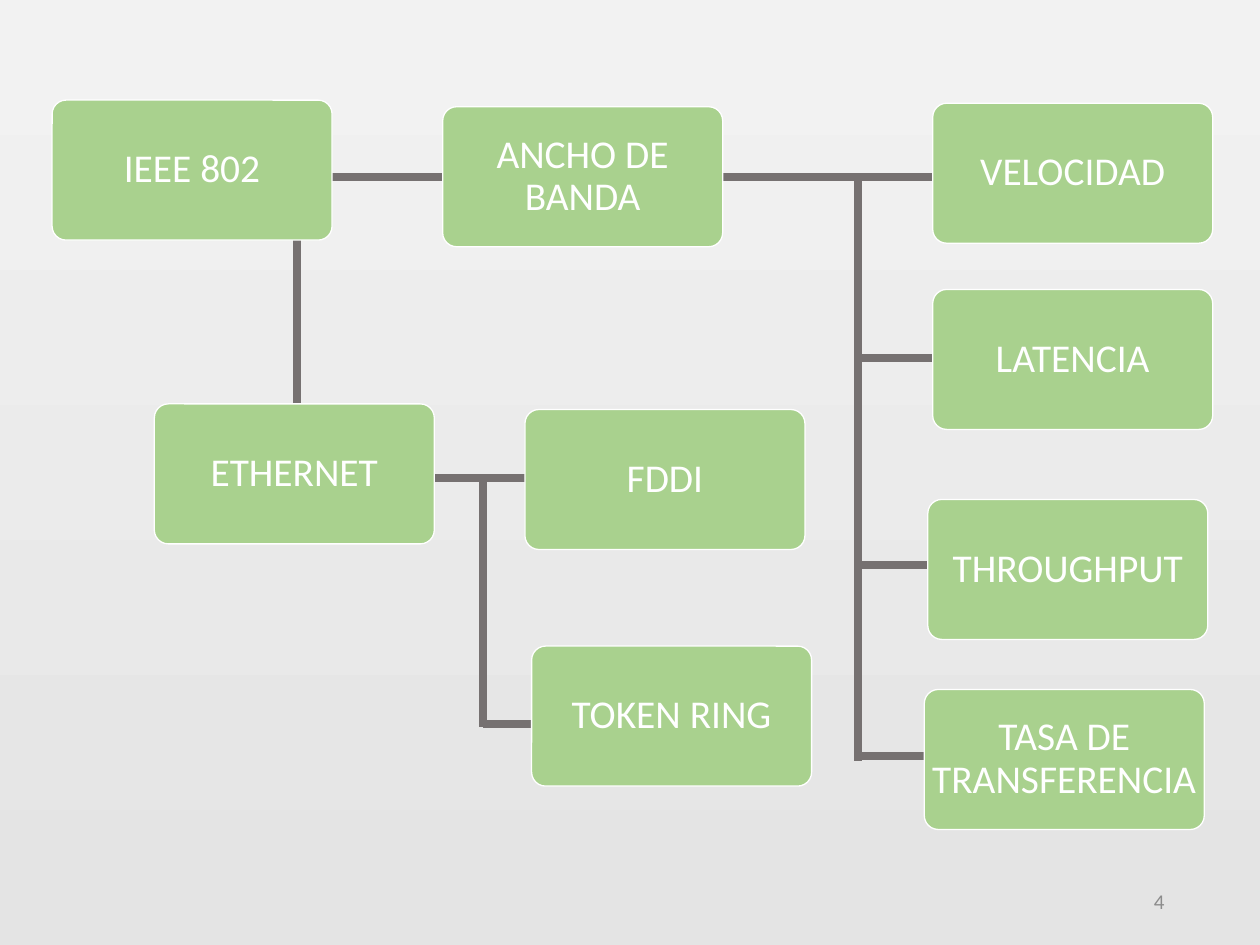
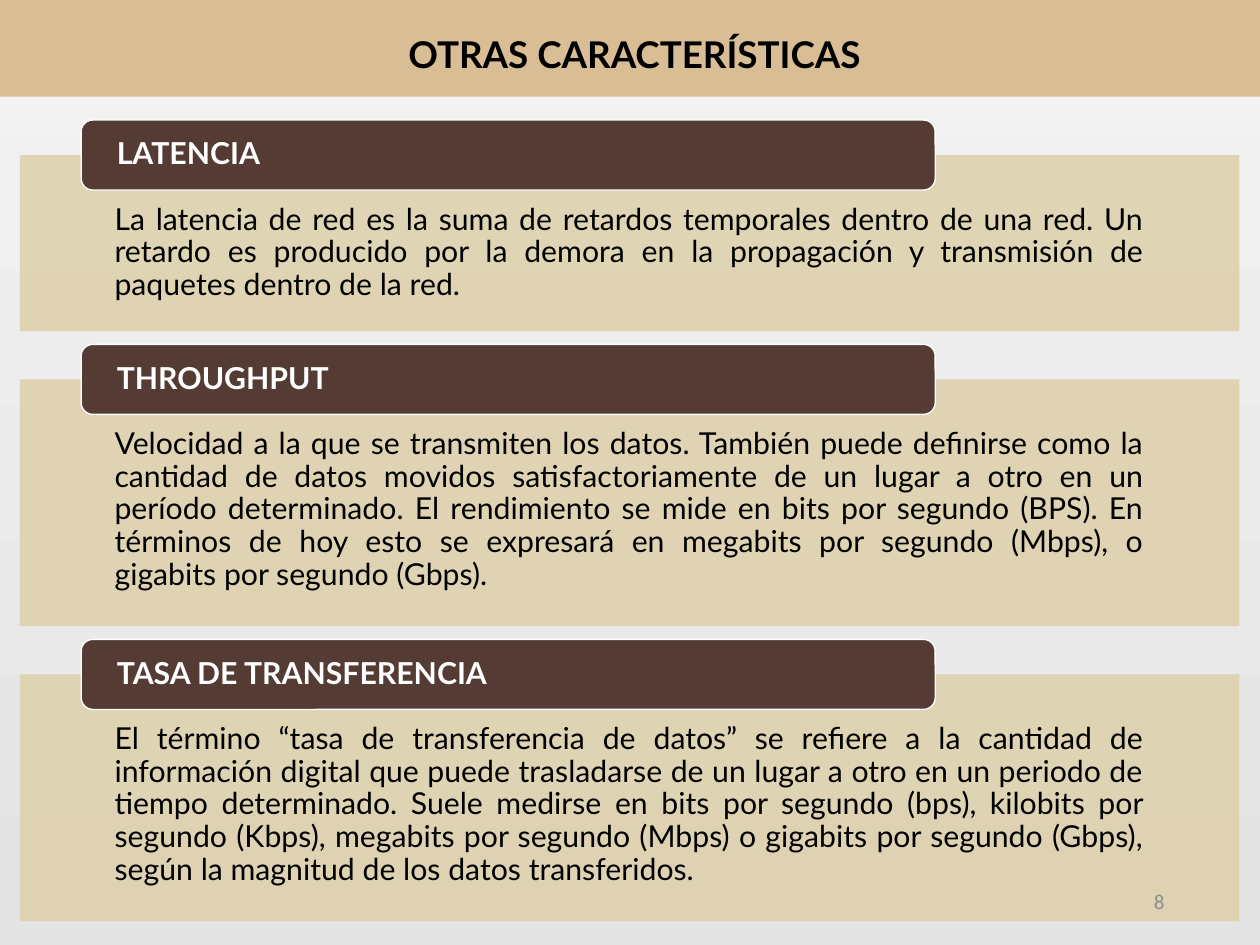
"""Build two slides on networks: an IEEE 802 diagram and a list of link features."""
from lxml import etree
from pptx import Presentation
from pptx import util as u
from pptx.dml.color import RGBColor
from pptx.enum import shapes, text
from pptx.oxml.ns import qn

COLUMNS, ROWS = 36, 27
CELL = u.Inches(0.37)
WHITE, BLACK, NUMBER_GRAY = "FFFFFF", "000000", "8C8C8C"
CARD_GREEN, LINE_GRAY = "A9D18E", "767171"
BAND_TAN, PANEL_SAND, TAB_BROWN = "D9BE95", "DED1AE", "543C34"
BACKGROUND = ("F2F2F2", "E4E4E4")
ALIGN, ANCHOR = text.PP_ALIGN, text.MSO_ANCHOR
RECTANGLE = shapes.MSO_SHAPE.RECTANGLE
ROUNDED = shapes.MSO_SHAPE.ROUNDED_RECTANGLE


def add_block(slide, kind, place, fill, outline=None):
    """Add a preset shape at a grid place (column, row, columns, rows)."""
    shape = slide.shapes.add_shape(kind, *(round(n * CELL) for n in place))
    shape.shadow.inherit = False
    shape.fill.solid()
    shape.fill.fore_color.rgb = RGBColor.from_string(fill)
    if outline:
        shape.line.color.rgb = RGBColor.from_string(outline)
        shape.line.width = u.Pt(1)
    else:
        shape.line.fill.background()
    return shape


def write(shape, words, font, size, color, align, anchor=ANCHOR.MIDDLE,
          bold=False, spacing=0.9, insets=(0.1, 0.05, 0.1, 0.05)):
    """Write one formatted paragraph in a shape, with insets in inches."""
    frame = shape.text_frame
    frame.word_wrap = True
    frame.vertical_anchor = anchor
    (frame.margin_left, frame.margin_top,
     frame.margin_right, frame.margin_bottom) = map(u.Inches, insets)
    paragraph = frame.paragraphs[0]
    paragraph.text = words
    paragraph.alignment = align
    paragraph.line_spacing = spacing
    paragraph.font.name = font
    paragraph.font.size = u.Pt(size)
    paragraph.font.bold = bold
    paragraph.font.color.rgb = RGBColor.from_string(color)


presentation = Presentation()
presentation.slide_width = COLUMNS * CELL
presentation.slide_height = ROWS * CELL

background = presentation.slide_master.background.fill
background.gradient()
background.gradient_angle = 270
for stop, color in zip(background.gradient_stops, BACKGROUND):
    stop.color.rgb = RGBColor.from_string(color)

diagram = presentation.slides.add_slide(presentation.slide_layouts[6])
features = presentation.slides.add_slide(presentation.slide_layouts[5])

top_row, middle_row = 5.05, 13.65
ring_spine, band_spine = 13.81, 24.51
links = [
    (9.3, top_row, 13.11, top_row),
    (8.49, 6.08, 8.49, 11.97),
    (11.76, middle_row, 15.89, middle_row),
    (ring_spine, middle_row, ring_spine, 20.78),
    (ring_spine, 20.68, 15.73, 20.68),
    (20.27, top_row, 27.08, top_row),
    (band_spine, top_row, band_spine, 21.73),
]
links += [(band_spine, row, 27, row) for row in (10.22, 16.14, 21.59)]
for link in links:
    connector = diagram.shapes.add_connector(
        shapes.MSO_CONNECTOR.STRAIGHT, *(round(n * CELL) for n in link))
    connector.line.color.rgb = RGBColor.from_string(LINE_GRAY)
    connector.line.width = u.Pt(6)
    etree.SubElement(connector.element.spPr, qn("a:effectLst"))

cards = [
    ("IEEE 802", 1.49, 2.86),
    ("ANCHO DE BANDA", 12.65, 3.05),
    ("VELOCIDAD", 26.65, 2.95),
    ("LATENCIA", 26.65, 8.27),
    ("THROUGHPUT", 26.51, 14.27),
    ("TASA DE TRANSFERENCIA", 26.41, 19.7),
    ("ETHERNET", 4.41, 11.54),
    ("TOKEN RING", 15.19, 18.46),
    ("FDDI", 15, 11.7),
]
for label, column, row in cards:
    card = add_block(diagram, ROUNDED, (column, row, 8, 4), CARD_GREEN, WHITE)
    card.adjustments[0] = 0.1
    write(card, label, "Calibri", 30, WHITE, ALIGN.CENTER,
          insets=(0.01, 0.02, 0.01, 0.02))

sections = [
    ("LATENCIA", 5.03,
     "La latencia de red es la suma de retardos temporales dentro de una red. "
     "Un retardo es producido por la demora en la propagación y transmisión de "
     "paquetes dentro de la red."),
    ("THROUGHPUT", 7.05,
     "Velocidad a la que se transmiten los datos. También puede definirse como "
     "la cantidad de datos movidos satisfactoriamente de un lugar a otro en un "
     "período determinado. El rendimiento se mide en bits por segundo (BPS). En "
     "términos de hoy esto se expresará en megabits por segundo (Mbps), o "
     "gigabits por segundo (Gbps)."),
    ("TASA DE TRANSFERENCIA", 7.05,
     "El término “tasa de transferencia de datos” se refiere a la cantidad de "
     "información digital que puede trasladarse de un lugar a otro en un periodo "
     "de tiempo determinado. Suele medirse en bits por segundo (bps), kilobits "
     "por segundo (Kbps), megabits por segundo (Mbps) o gigabits por segundo "
     "(Gbps), según la magnitud de los datos transferidos."),
]
tab_row, section_gap = 3.43, 0.38
for heading, panel_rows, body in sections:
    panel_row = tab_row + 1
    panel = add_block(features, RECTANGLE,
                      (0.57, panel_row, 34.84, panel_rows), PANEL_SAND)
    panel_color = panel.element.spPr.find(qn("a:solidFill"))[0]
    etree.SubElement(panel_color, qn("a:alpha"), val="90000")
    write(panel, body, "Lato", 23, BLACK, ALIGN.JUSTIFY, ANCHOR.TOP,
          insets=(1, 0.52, 1, 0.18))
    tab = add_block(features, ROUNDED, (2.32, tab_row, 24.4, 2), TAB_BROWN, WHITE)
    write(tab, heading, "Lato", 23, WHITE, ALIGN.LEFT, bold=True,
          insets=(0.34, 0, 0.34, 0))
    tab_row = panel_row + panel_rows + section_gap

add_block(features, RECTANGLE, (0, 0, COLUMNS, 2.76), BAND_TAN)
title = features.shapes.title
title.left, title.top, title.width, title.height = (
    round(n * CELL) for n in (1.3, 0.78, 33.65, 1.54))
write(title, "OTRAS CARACTERÍSTICAS", "Lato", 28, BLACK, ALIGN.CENTER,
      bold=True, spacing=1.0)
features.shapes.element.append(title.element)

for slide, number in ((diagram, "4"), (features, "8")):
    number_box = slide.shapes.add_textbox(
        *(round(n * CELL) for n in (25.43, 25.03, 8.11, 1.43)))
    write(number_box, number, "Calibri", 16, NUMBER_GRAY, ALIGN.RIGHT, spacing=1.0)

presentation.save("out.pptx")
